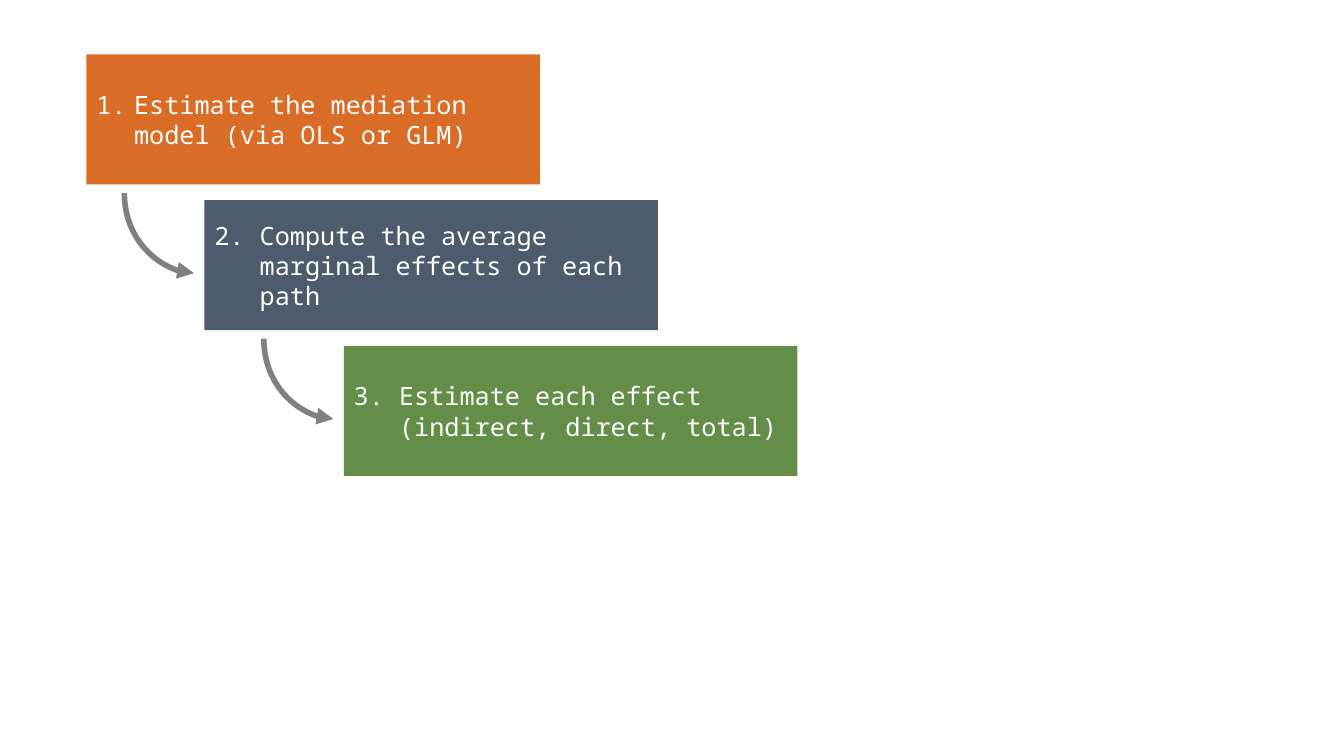
import pptx
import pptx.dml.color
import pptx.enum.shapes
import pptx.enum.text
import pptx.oxml.ns
import pptx.util
from lxml import etree

Pt = pptx.util.Pt
RGBColor = pptx.dml.color.RGBColor
qn = pptx.oxml.ns.qn

ORANGE = RGBColor(0xD3, 0x53, 0x00)
SLATE = RGBColor(0x2E, 0x3F, 0x53)
GREEN = RGBColor(0x54, 0x82, 0x35)
GRAY = RGBColor(0x80, 0x80, 0x80)
WHITE = RGBColor(0xFF, 0xFF, 0xFF)
FONT = "Noto Sans Mono"

BOX_WIDTH, BOX_HEIGHT = 324, 92.9
FIRST_TOP, STEP_HEIGHT = 38.9, 104.1
ARROW_WIDTH, ARROW_HEIGHT = 49.7, 57.2

# left edge, fill, opacity in percent, hanging indent, wording
STEPS = [
    (61.7, ORANGE, 85, 27, "Estimate the mediation model (via OLS or GLM)"),
    (146, SLATE, 85, 32.4, "Compute the average marginal effects of each path"),
    (245.6, GREEN, 90, 32.4, "Estimate each effect (indirect, direct, total)"),
]


def set_opacity(fill_color_element, percent):
    etree.SubElement(fill_color_element, qn("a:alpha"), val=str(percent * 1000))


def number_paragraph(para, number, indent):
    """Give the paragraph an automatic number with a hanging indent."""
    properties = para._p.get_or_add_pPr()
    properties.set("marL", str(Pt(indent)))
    properties.set("indent", str(-Pt(indent)))
    etree.SubElement(properties, qn("a:buFont"), typeface=FONT)
    etree.SubElement(properties, qn("a:buAutoNum"),
                     type="arabicPeriod", startAt=str(number))


def add_step(slide, number, left, top, color, opacity, indent, wording):
    box = slide.shapes.add_shape(
        pptx.enum.shapes.MSO_SHAPE.RECTANGLE,
        Pt(left), Pt(top), Pt(BOX_WIDTH), Pt(BOX_HEIGHT))
    box.shadow.inherit = False
    box.fill.solid()
    box.fill.fore_color.rgb = color
    set_opacity(box._element.spPr.find(qn("a:solidFill"))[0], opacity)
    box.line.fill.background()

    frame = box.text_frame
    frame.word_wrap = True
    frame.vertical_anchor = pptx.enum.text.MSO_ANCHOR.MIDDLE
    para = frame.paragraphs[0]
    para.alignment = pptx.enum.text.PP_ALIGN.LEFT
    number_paragraph(para, number, indent)
    span = para.add_run()
    span.text = wording
    span.font.name = FONT
    span.font.size = Pt(18)
    span.font.color.rgb = WHITE


def add_curved_arrow(slide, left, top):
    """Draw a quarter curve that leaves downwards and ends to the right."""
    center_x, center_y = left + ARROW_WIDTH / 2, top + ARROW_HEIGHT / 2
    # The frame is turned by 270 degrees, so its width and height swap.
    half_width, half_height = ARROW_HEIGHT / 2, ARROW_WIDTH / 2
    arrow = slide.shapes.add_connector(
        pptx.enum.shapes.MSO_CONNECTOR.CURVE,
        Pt(center_x + half_width), Pt(center_y - half_height),
        Pt(center_x - half_width), Pt(center_y + half_height))
    arrow.line.color.rgb = GRAY
    arrow.line.width = Pt(4)
    properties = arrow._element.spPr
    properties.find(qn("a:xfrm")).set("rot", str(270 * 60000))
    properties.find(qn("a:prstGeom")).set("prst", "curvedConnector2")
    etree.SubElement(properties.find(qn("a:ln")), qn("a:tailEnd"), type="triangle")
    etree.SubElement(properties, qn("a:effectLst"))


def main():
    deck = pptx.Presentation()
    deck.slide_width, deck.slide_height = Pt(960), Pt(540)
    slide = deck.slides.add_slide(deck.slide_layouts[6])

    for index, (left, *style) in enumerate(STEPS):
        add_step(slide, index + 1, left, FIRST_TOP + index * STEP_HEIGHT, *style)
    for index, (left, *_) in enumerate(STEPS[1:], start=1):
        add_curved_arrow(slide, left - 57.2, FIRST_TOP + index * STEP_HEIGHT - 5)

    deck.save("out.pptx")


if __name__ == "__main__":
    main()
